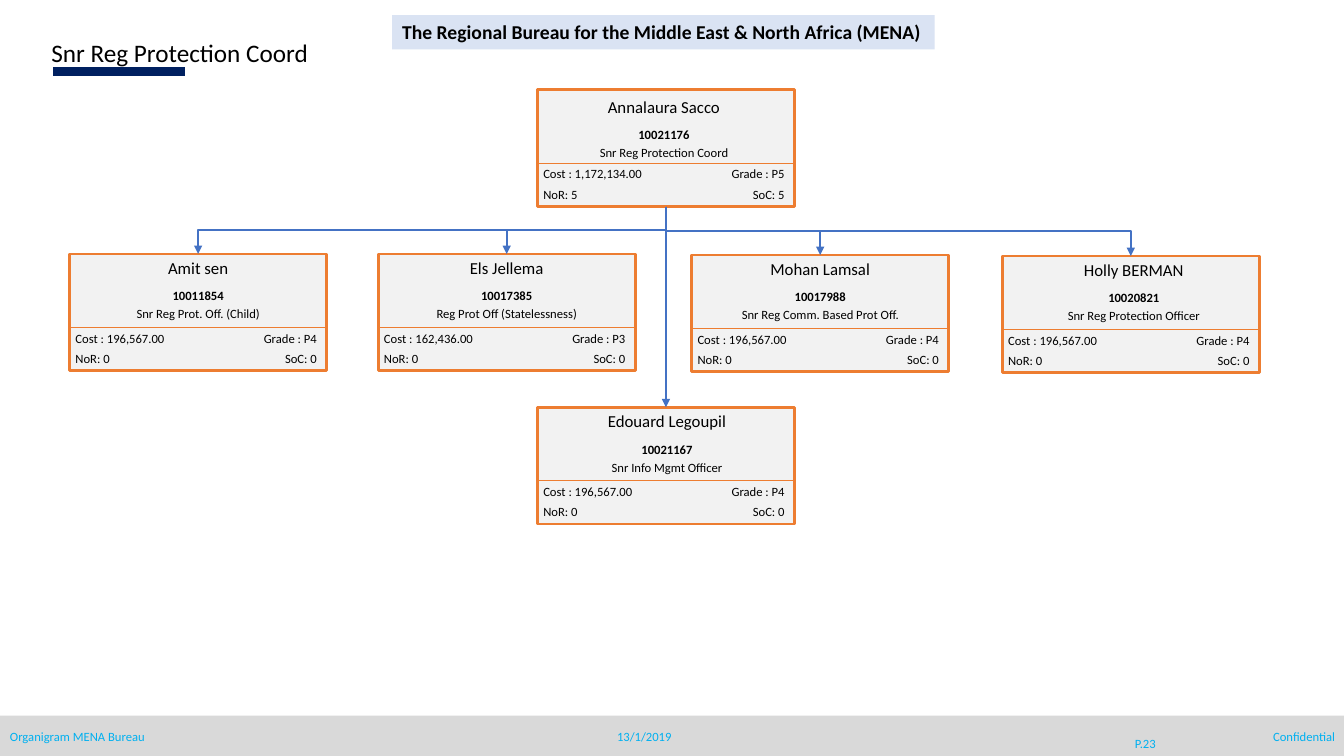
import pptx
import pptx.util
import pptx.dml.color
import pptx.enum.shapes
import pptx.enum.text
import pptx.oxml

W, H = 13.33, 7.5
FONT = "Calibri"
BLACK, NAVY, ORANGE, BLUE, CYAN = "000000", "002060", "ED7D31", "4472C4", "00B0F0"
CARD_FILL, BANNER_FILL, FOOTER_FILL = "F2F2F2", "DAE3F3", "D9D9D9"

TITLE = "Snr Reg Protection Coord"
BANNER = "The Regional Bureau for the Middle East & North Africa (MENA)"
# left, top, width, height, alignment, text
FOOTER = [
    (0, 7.18, 3.08, 0.25, "l", "Organigram MENA Bureau"),
    (5.95, 7.18, 0.88, 0.25, "c", "13/1/2019"),
    (10.96, 7.25, 0.8, 0.25, "c", "P.23"),
    (10.26, 7.18, 3.08, 0.25, "r", "Confidential"),
]

CARD_W, CARD_H, DIVIDER = 2.55, 1.16, 0.73
# left, top, heading shift (x, y), name, number, post, cost, grade, NoR, SoC
BOSS = (5.33, 0.89, (-0.02, 0.03), "Annalaura Sacco", "10021176",
        "Snr Reg Protection Coord", "1,172,134.00", "P5", 5, 5)
TEAM = [
    (0.69, 2.52, (0, 0), "Amit sen", "10011854",
     "Snr Reg Prot. Off. (Child)", "196,567.00", "P4", 0, 0),
    (3.75, 2.52, (0, 0), "Els Jellema", "10017385",
     "Reg Prot Off (Statelessness)", "162,436.00", "P3", 0, 0),
    (6.86, 2.53, (0, 0), "Mohan Lamsal", "10017988",
     "Snr Reg Comm. Based Prot Off.", "196,567.00", "P4", 0, 0),
    (9.94, 2.54, (0.03, 0), "Holly BERMAN", "10020821",
     "Snr Reg Protection Officer", "196,567.00", "P4", 0, 0),
]
INFO = (5.33, 4.04, (0.01, 0), "Edouard Legoupil", "10021167",
        "Snr Info Mgmt Officer", "196,567.00", "P4", 0, 0)

ALIGN = {"l": pptx.enum.text.PP_ALIGN.LEFT, "c": pptx.enum.text.PP_ALIGN.CENTER,
         "r": pptx.enum.text.PP_ALIGN.RIGHT}
KIND = pptx.enum.shapes.MSO_CONNECTOR
inch = pptx.util.Inches


def rgb(color):
    return pptx.dml.color.RGBColor.from_string(color)


def write(s, text, size=9, color=BLACK, bold=False, align="l", wrap=True):
    tf = s.text_frame
    tf.word_wrap = wrap
    tf.auto_size = pptx.enum.text.MSO_AUTO_SIZE.NONE
    tf.vertical_anchor = pptx.enum.text.MSO_ANCHOR.TOP
    p = tf.paragraphs[0]
    p.alignment = ALIGN[align]
    r = p.add_run()
    r.text = text
    r.font.name, r.font.size, r.font.bold = FONT, pptx.util.Pt(size), bold
    r.font.color.rgb = rgb(color)


def add_text(shapes, x, y, w, h, text, **style):
    write(shapes.add_textbox(inch(x), inch(y), inch(w), inch(h)), text, **style)


def add_box(shapes, x, y, w, h, fill, line=None):
    s = shapes.add_shape(pptx.enum.shapes.MSO_SHAPE.RECTANGLE,
                         inch(x), inch(y), inch(w), inch(h))
    s.shadow.inherit = False
    s.fill.solid()
    s.fill.fore_color.rgb = rgb(fill)
    if line:
        s.line.color.rgb = rgb(line)
        s.line.width = pptx.util.Pt(2)
    else:
        s.line.fill.background()
    return s


def add_line(shapes, x1, y1, x2, y2, color, width, kind=KIND.STRAIGHT, arrow=False):
    c = shapes.add_connector(kind, inch(x1), inch(y1), inch(x2), inch(y2))
    c.line.color.rgb = rgb(color)
    c.line.width = pptx.util.Pt(width)
    ns = pptx.oxml.ns.nsdecls("a")
    if arrow:
        c.line._get_or_add_ln().append(
            pptx.oxml.parse_xml(f'<a:tailEnd {ns} type="triangle"/>'))
    c._element.spPr.append(pptx.oxml.parse_xml(f"<a:effectLst {ns}/>"))
    return c


def add_card(shapes, card):
    x, y, (dx, dy), name, number, post, cost, grade, nor, soc = card
    s = add_box(shapes, x, y, CARD_W, CARD_H, CARD_FILL, ORANGE)
    add_line(shapes, x, y + DIVIDER, x + CARD_W, y + DIVIDER, ORANGE, 1)
    for top, h, text, size, bold in ((-0.01, 0.31, name, 12, False),
                                     (0.29, 0.25, number, 9, True),
                                     (0.47, 0.25, post, 9, False)):
        add_text(shapes, x + dx, y + top + dy, CARD_W, h, text,
                 size=size, bold=bold, align="c")
    for top, left_text, right_text in ((0.71, f"Cost : {cost}", f"Grade : {grade}"),
                                       (0.91, f"NoR: {nor}", f"SoC: {soc}")):
        add_text(shapes, x - 0.04, y + top, 1.3, 0.25, left_text)
        add_text(shapes, x + CARD_W - 1.22, y + top, 1.22, 0.25, right_text, align="r")
    return s


def link(shapes, boss, report, kind):
    """Arrow from the bottom of boss to the top of report."""
    c = add_line(shapes, 0, 0, 1, 1, BLUE, 1.5, kind, arrow=True)
    c.begin_connect(boss, 2)
    c.end_connect(report, 0)
    if kind == KIND.ELBOW:
        # A quarter turn makes the elbow leave downwards
        dx, dy = c.end_x - c.begin_x, c.end_y - c.begin_y
        mid_x, mid_y = (c.begin_x + c.end_x) // 2, (c.begin_y + c.end_y) // 2
        c.width, c.height = dy, abs(dx)
        c.left, c.top = mid_x - dy // 2, mid_y - abs(dx) // 2
        xfrm = c._element.spPr.xfrm
        xfrm.set("rot", str((270 if dx > 0 else 90) * 60000))
        xfrm.set("flipH", "1" if dx > 0 else "0")
        xfrm.set("flipV", "0")


def main():
    prs = pptx.Presentation()
    prs.slide_width, prs.slide_height = inch(W), inch(H)
    slide = prs.slides.add_slide(prs.slide_layouts[5])
    shapes = slide.shapes

    title = shapes.title
    title.left, title.top, title.width, title.height = map(inch, (0.41, 0.32, 5.3, 0.41))
    write(title, TITLE, size=18)
    add_line(shapes, 0.53, 0.71, 1.84, 0.71, NAVY, 7)
    banner = add_box(shapes, 3.89, 0.15, 5.38, 0.34, BANNER_FILL)
    write(banner, BANNER, size=14, bold=True, wrap=False)

    boss = add_card(shapes, BOSS)
    for card in TEAM:
        link(shapes, boss, add_card(shapes, card), KIND.ELBOW)
    link(shapes, boss, add_card(shapes, INFO), KIND.STRAIGHT)

    add_box(shapes, 0, 7.1, W, H - 7.1, FOOTER_FILL)
    for x, y, w, h, align, text in FOOTER:
        add_text(shapes, x, y, w, h, text, color=CYAN, align=align)

    prs.save("out.pptx")


if __name__ == "__main__":
    main()
